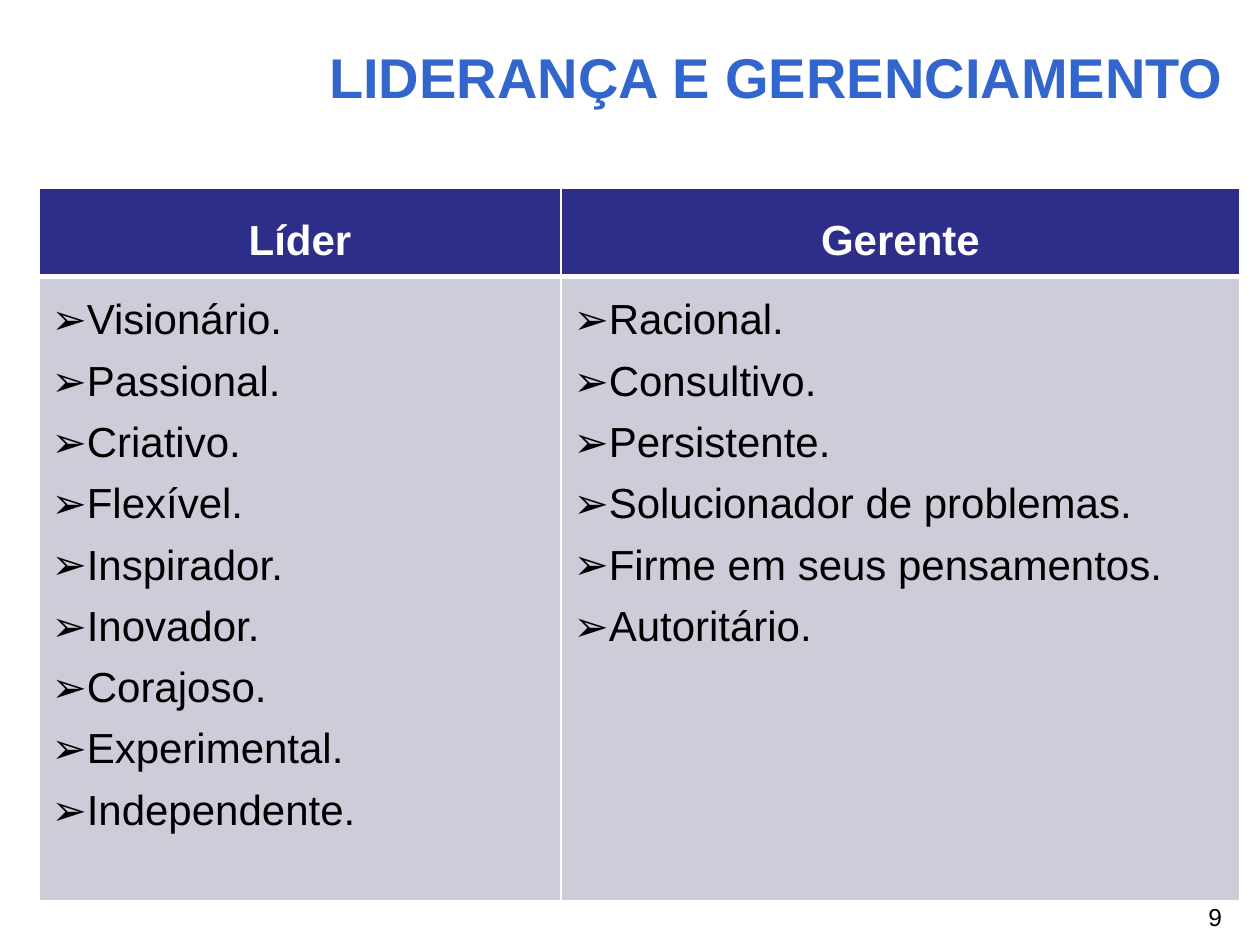
"""Build the slide that contrasts leaders and managers."""
from dataclasses import dataclass

from lxml import etree
from pptx import Presentation
from pptx import util as u
from pptx.dml.color import RGBColor
from pptx.enum import text
from pptx.oxml import ns

PIXEL = 914400 // 126


@dataclass(frozen=True)
class Theme:
    font: str = "Arial"
    title: str = "3366CC"
    header: str = "2D2D8A"
    body: str = "CDCDDA"
    light: str = "FFFFFF"
    dark: str = "000000"
    title_size: int = 32
    table_size: int = 24
    number_size: int = 14


@dataclass(frozen=True)
class Column:
    heading: str
    width: int
    traits: tuple[str, ...]


@dataclass(frozen=True)
class CellStyle:
    fill: str
    color: str
    bold: bool
    bullet: str
    bottom_border: int
    paragraph: dict


THEME = Theme()
HEADER = CellStyle(THEME.header, THEME.light, True, "", 3,
                   {"alignment": text.PP_ALIGN.CENTER, "line_spacing": 1.5})
BODY = CellStyle(THEME.body, THEME.dark, False, "➢", 1,
                 {"alignment": text.PP_ALIGN.LEFT, "line_spacing": u.Pt(35)})
COLUMNS = (
    Column("Líder", 522, (
        "Visionário.", "Passional.", "Criativo.", "Flexível.", "Inspirador.",
        "Inovador.", "Corajoso.", "Experimental.", "Independente.")),
    Column("Gerente", 679, (
        "Racional.", "Consultivo.", "Persistente.", "Solucionador de problemas.",
        "Firme em seus pensamentos.", "Autoritário.")),
)
ROW_HEIGHTS = (82, 625)


def px(*lengths: int) -> list[int]:
    """Turn pixels into EMU."""
    return [length * PIXEL for length in lengths]


def apply(target, values: dict) -> None:
    """Set every format value on the target."""
    for name, value in values.items():
        setattr(target, name, value)


def write(paragraph, content: str, size: int, color: str, bold: bool = False) -> None:
    """Add one formatted run to a paragraph."""
    run = paragraph.add_run()
    run.text = content
    apply(run.font, {"name": THEME.font, "size": u.Pt(size), "bold": bold})
    run.font.color.rgb = RGBColor.from_string(color)


def add_bullet(paragraph, character: str) -> None:
    """Give a paragraph a bullet character."""
    properties = paragraph._p.get_or_add_pPr()
    apply_xml = {"marL": "0", "indent": "0"}
    for name, value in apply_xml.items():
        properties.set(name, value)
    etree.SubElement(properties, ns.qn("a:buFont")).set("typeface", THEME.font)
    etree.SubElement(properties, ns.qn("a:buChar")).set("char", character)


def add_borders(cell, bottom: int) -> None:
    """Draw light borders around a cell."""
    properties = cell._tc.get_or_add_tcPr()
    widths = {"lnL": 1, "lnR": 1, "lnT": 1, "lnB": bottom}
    for index, (side, width) in enumerate(widths.items()):
        line = etree.Element(ns.qn(f"a:{side}"), w=str(u.Pt(width)))
        fill = etree.SubElement(line, ns.qn("a:solidFill"))
        etree.SubElement(fill, ns.qn("a:srgbClr")).set("val", THEME.light)
        properties.insert(index, line)


def fill_cell(cell, lines: tuple[str, ...], style: CellStyle) -> None:
    """Write lines into a cell in the given style."""
    cell.fill.solid()
    cell.fill.fore_color.rgb = RGBColor.from_string(style.fill)
    add_borders(cell, style.bottom_border)
    frame = cell.text_frame
    for index, line in enumerate(lines):
        paragraph = frame.add_paragraph() if index else frame.paragraphs[0]
        apply(paragraph, style.paragraph)
        if style.bullet:
            add_bullet(paragraph, style.bullet)
        write(paragraph, line, THEME.table_size, style.color, style.bold)


def add_title(slide, content: str) -> None:
    """Place and write the title."""
    title = slide.shapes.title
    apply(title, dict(zip(("left", "top", "width", "height"), px(243, 16, 993, 120))))
    apply(title.text_frame, {"vertical_anchor": text.MSO_ANCHOR.MIDDLE, "word_wrap": True})
    paragraph = title.text_frame.paragraphs[0]
    paragraph.alignment = text.PP_ALIGN.RIGHT
    write(paragraph, content, THEME.title_size, THEME.title, True)


def add_comparison(slide) -> None:
    """Add the table of traits."""
    width = sum(column.width for column in COLUMNS)
    frame = slide.shapes.add_table(len(ROW_HEIGHTS), len(COLUMNS),
                                   *px(39, 188, width, sum(ROW_HEIGHTS)))
    table = frame.table
    table.horz_banding = False
    for row, height in zip(table.rows, ROW_HEIGHTS):
        row.height = height * PIXEL
    for index, column in enumerate(COLUMNS):
        table.columns[index].width = column.width * PIXEL
        fill_cell(table.cell(0, index), (column.heading,), HEADER)
        fill_cell(table.cell(1, index), column.traits, BODY)


def add_page_number(slide, number: int) -> None:
    """Add the page number at the lower right."""
    box = slide.shapes.add_textbox(*px(1196, 896, 79, 43))
    box.text_frame.word_wrap = True
    write(box.text_frame.paragraphs[0], str(number), THEME.number_size, THEME.dark)


def main() -> None:
    """Build and save the presentation."""
    presentation = Presentation()
    apply(presentation, dict(zip(("slide_width", "slide_height"), px(1260, 945))))
    slide = presentation.slides.add_slide(presentation.slide_layouts[5])
    add_page_number(slide, 9)
    add_title(slide, "LIDERANÇA E GERENCIAMENTO")
    add_comparison(slide)
    presentation.save("out.pptx")


main()
